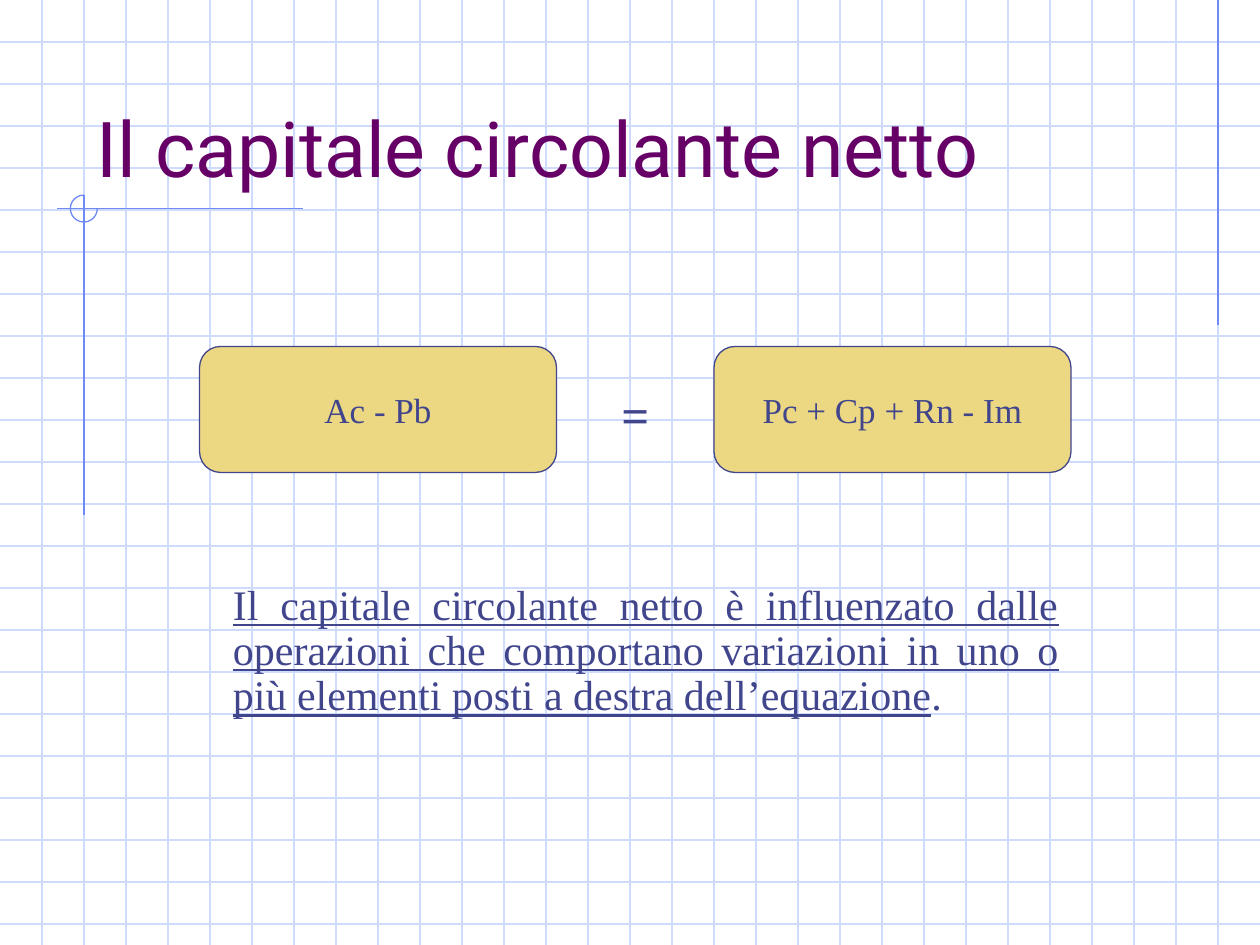
from lxml.etree import SubElement
from pptx import Presentation
from pptx.dml.color import RGBColor
from pptx.enum.shapes import MSO_CONNECTOR, MSO_SHAPE
from pptx.enum.text import MSO_ANCHOR, PP_ALIGN
from pptx.oxml.ns import qn
from pptx.util import Pt

HUES = {"grid": "CFDBFD", "rule": "6F89F7", "title": "660066",
        "ink": "40458C", "box": "ECD882"}
SERIF = "Times New Roman"
WIDE, HIGH, STEP = 720, 540, 24

TITLE = "Il capitale circolante netto"
SIDES = [("Ac - Pb", 114), ("Pc + Cp + Rn - Im", 408)]
BODY = ("Il capitale circolante netto è influenzato dalle operazioni che "
        "comportano variazioni in uno o più elementi posti a destra "
        "dell’equazione")
RULES = [(696, 0, 696, 186), (173, 119.2, 32.5, 119.2), (48, 111.5, 48, 294.5)]


def hue(name):
    return RGBColor.from_string(HUES[name])


def stroke(line, name):
    line.color.rgb = hue(name)
    line.width = Pt(0.75)


def rule(slide, ends, name):
    line = slide.shapes.add_connector(MSO_CONNECTOR.STRAIGHT, *map(Pt, ends))
    stroke(line.line, name)
    SubElement(line._element.spPr, qn("a:effectLst"))


def shape(slide, kind, place):
    item = slide.shapes.add_shape(kind, *map(Pt, place))
    item.shadow.inherit = False
    return item


def write(frame, runs, size, name="ink", font=SERIF, align=PP_ALIGN.CENTER,
          anchor=MSO_ANCHOR.TOP, wrap=True):
    """Fill a frame with one paragraph of (text, font flags) runs."""
    frame.word_wrap = wrap
    frame.vertical_anchor = anchor
    para = frame.paragraphs[0]
    para.alignment = align
    for text, flags in runs:
        run = para.add_run()
        run.text = text
        run.font.size = Pt(size)
        run.font.name = font
        run.font.color.rgb = hue(name)
        for flag, state in flags.items():
            setattr(run.font, flag, state)
    return para


def label(slide, place, runs, size, **style):
    box = slide.shapes.add_textbox(*map(Pt, place))
    return write(box.text_frame, runs, size, **style)


def main():
    deck = Presentation()
    deck.slide_width, deck.slide_height = Pt(WIDE), Pt(HIGH)
    slide = deck.slides.add_slide(deck.slide_layouts[6])

    for y in range(STEP, HIGH, STEP):
        rule(slide, (0, y, WIDE, y), "grid")
    for x in range(STEP, WIDE, STEP):
        rule(slide, (x, 0, x, HIGH), "grid")
    for ends in RULES:
        rule(slide, ends, "rule")

    arc = shape(slide, MSO_SHAPE.ARC, (40.2, 111.5, 15.4, 15.4))
    arc.adjustments[0], arc.adjustments[1] = 0, 162  # three quarters of a turn
    arc.fill.background()
    stroke(arc.line, "rule")

    label(slide, (48, 24, 612, 90), [(TITLE, {})], 44, name="title",
          font="Roboto", align=PP_ALIGN.LEFT, anchor=MSO_ANCHOR.BOTTOM)

    for text, x in SIDES:
        box = shape(slide, MSO_SHAPE.ROUNDED_RECTANGLE, (x, 198, 204, 72))
        box.fill.solid()
        box.fill.fore_color.rgb = hue("box")
        stroke(box.line, "ink")
        write(box.text_frame, [(text, {})], 20,
              anchor=MSO_ANCHOR.MIDDLE, wrap=False)

    sign = label(slide, (318, 216, 90, 41), [("=", {"bold": True})], 28)
    sign.space_before = Pt(17.5)

    note = label(slide, (126, 330, 486, 129),
                 [(BODY, {"underline": True}), (".", {"underline": False})],
                 24, align=PP_ALIGN.JUSTIFY)
    note.line_spacing = 0.9
    note.space_before = Pt(6)

    deck.save("out.pptx")


if __name__ == "__main__":
    main()
